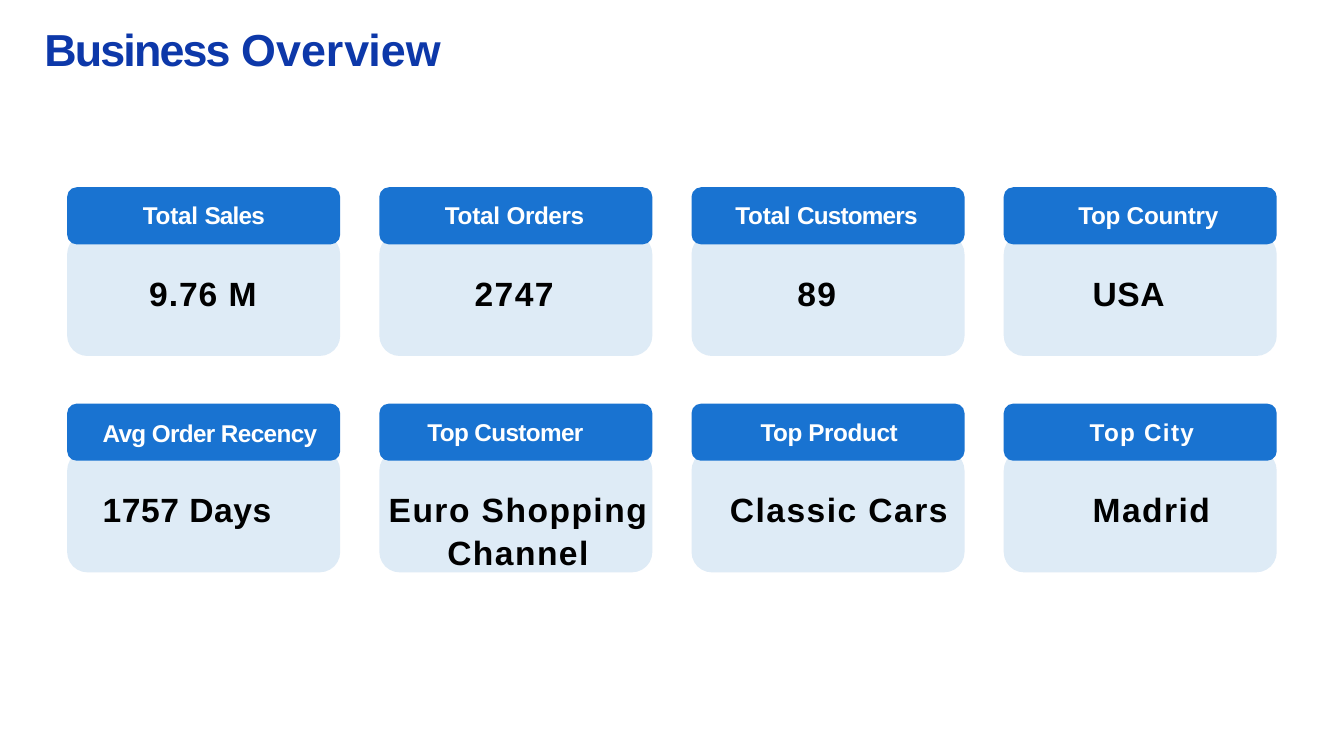
from dataclasses import dataclass

from lxml import etree
from pptx import Presentation
from pptx.dml.color import RGBColor
from pptx.enum.shapes import MSO_SHAPE as Preset
from pptx.enum.text import MSO_ANCHOR as Anchor, PP_ALIGN as Align
from pptx.oxml.ns import qn
from pptx.util import Cm, Pt

BLUE, PALE, NAVY, WHITE, BLACK = "1973D1", "5B9BD4", "0D38A9", "FFFFFF", "000000"

# Grid of cards, in centimetres
COLUMNS = 4
LEFT, TOP = 1.27, 3.54
PITCH_X, PITCH_Y = 5.9, 4.09
WIDTH, HEADER_HEIGHT, BODY_HEIGHT = 5.16, 1.08, 2.31
BODY_DROP, LABEL_DROP, VALUE_DROP = 0.88, 0.22, 1.59


@dataclass
class Span:
    text: str
    spacing: float  # points between letters


@dataclass
class Caption:
    left: float
    width: float
    lines: list[list[Span]]
    centred: bool = False
    lower: float = 0


@dataclass
class Card:
    label: Caption
    value: Caption


CARDS = [
    Card(Caption(2.29, 3.1, [[Span("Total ", -0.1), Span("Sales", -0.4)]], True),
         Caption(2.79, 2.08, [[Span("9.76 ", 0.5), Span("M", 0.6)]])),
    Card(Caption(8.38, 2.8, [[Span("Total ", -0.1), Span("Orders", -0.2)]]),
         Caption(8.94, 1.65, [[Span("2747", 0.8)]])),
    Card(Caption(13.87, 3.56, [[Span("Total ", -0.1), Span("Customers", -0.4)]]),
         Caption(15.04, 1.22, [[Span("89", 0.8)]])),
    Card(Caption(20.35, 3.38, [[Span("Top Country", -0.1)]]),
         Caption(20.62, 1.5, [[Span("USA", 0.3)]])),
    Card(Caption(1.91, 4.5, [[Span("Avg Order Recency", -0.3)]], lower=0.03),
         Caption(1.91, 3.48, [[Span("1757 Days", 0.3)]])),
    Card(Caption(8.05, 3.4, [[Span("Top Customer", -0.3)]]),
         Caption(7.16, 5.23, [[Span("Euro Shopping", 0.8)], [Span("Channel", 0.8)]], True)),
    Card(Caption(13.79, 3.73, [[Span("Top Product", -0.2)]], True),
         Caption(13.26, 5.16, [[Span("Classic Cars", 0.8)]], True)),
    Card(Caption(19.61, 3.91, [[Span("Top City", 0.7)]], True),
         Caption(20.62, 2.67, [[Span("Madrid", 0.8)]])),
]

TITLE = Caption(0.81, 7.54, [[
    Span("Business ", -1), Span("O", -0.3), Span("v", -0.5), Span("e", -0.2),
    Span("r", 0.6), Span("vi", -0.5), Span("e", -0.8), Span("w", 1.8),
]])


def colour(code: str) -> RGBColor:
    return RGBColor.from_string(code)


def add_panel(page, left: float, top: float, height: float, fill: str, opacity: int = 100) -> None:
    panel = page.shapes.add_shape(
        Preset.ROUNDED_RECTANGLE, Cm(left), Cm(top), Cm(WIDTH), Cm(height))
    panel.shadow.inherit = False
    panel.line.fill.background()
    panel.fill.solid()
    panel.fill.fore_color.rgb = colour(fill)
    if opacity < 100:
        tint = panel.fill._xPr.find(".//" + qn("a:srgbClr"))
        etree.SubElement(tint, qn("a:alpha")).set("val", str(opacity * 1000))


def add_caption(page, caption: Caption, top: float, height: float, size: int, fill: str) -> None:
    box = page.shapes.add_textbox(
        Cm(caption.left), Cm(top + caption.lower), Cm(caption.width), Cm(height))
    frame = box.text_frame
    frame.word_wrap = True
    frame.vertical_anchor = Anchor.TOP
    frame.margin_left = frame.margin_top = Cm(0.03)
    frame.margin_right = frame.margin_bottom = 0
    for index, line in enumerate(caption.lines):
        para = frame.add_paragraph() if index else frame.paragraphs[0]
        para.alignment = Align.CENTER if caption.centred else Align.LEFT
        para.space_before = Pt(1)
        for span in line:
            run = para.add_run()
            run.text = span.text
            run.font.name = "Arial"
            run.font.size = Pt(size)
            run.font.bold = True
            run.font.color.rgb = colour(fill)
            run._r.get_or_add_rPr().set("spc", str(round(span.spacing * 100)))


def add_card(page, card: Card, index: int) -> None:
    row, column = divmod(index, COLUMNS)
    left, top = LEFT + column * PITCH_X, TOP + row * PITCH_Y
    add_panel(page, left, top + BODY_DROP, BODY_HEIGHT, PALE, opacity=20)
    add_caption(page, card.value, top + VALUE_DROP, 0.82 * len(card.value.lines), 18, BLACK)
    add_panel(page, left, top, HEADER_HEIGHT, BLUE)
    add_caption(page, card.label, top + LABEL_DROP, 0.6, 13, WHITE)


def main() -> None:
    deck = Presentation()
    deck.slide_width, deck.slide_height = Cm(25.4), Cm(14.29)
    page = deck.slides.add_slide(deck.slide_layouts[6])

    # Heading
    add_caption(page, TITLE, 0.38, 1.09, 24, NAVY)

    # Key figures
    for index, card in enumerate(CARDS):
        add_card(page, card, index)

    deck.save("out.pptx")


if __name__ == "__main__":
    main()
